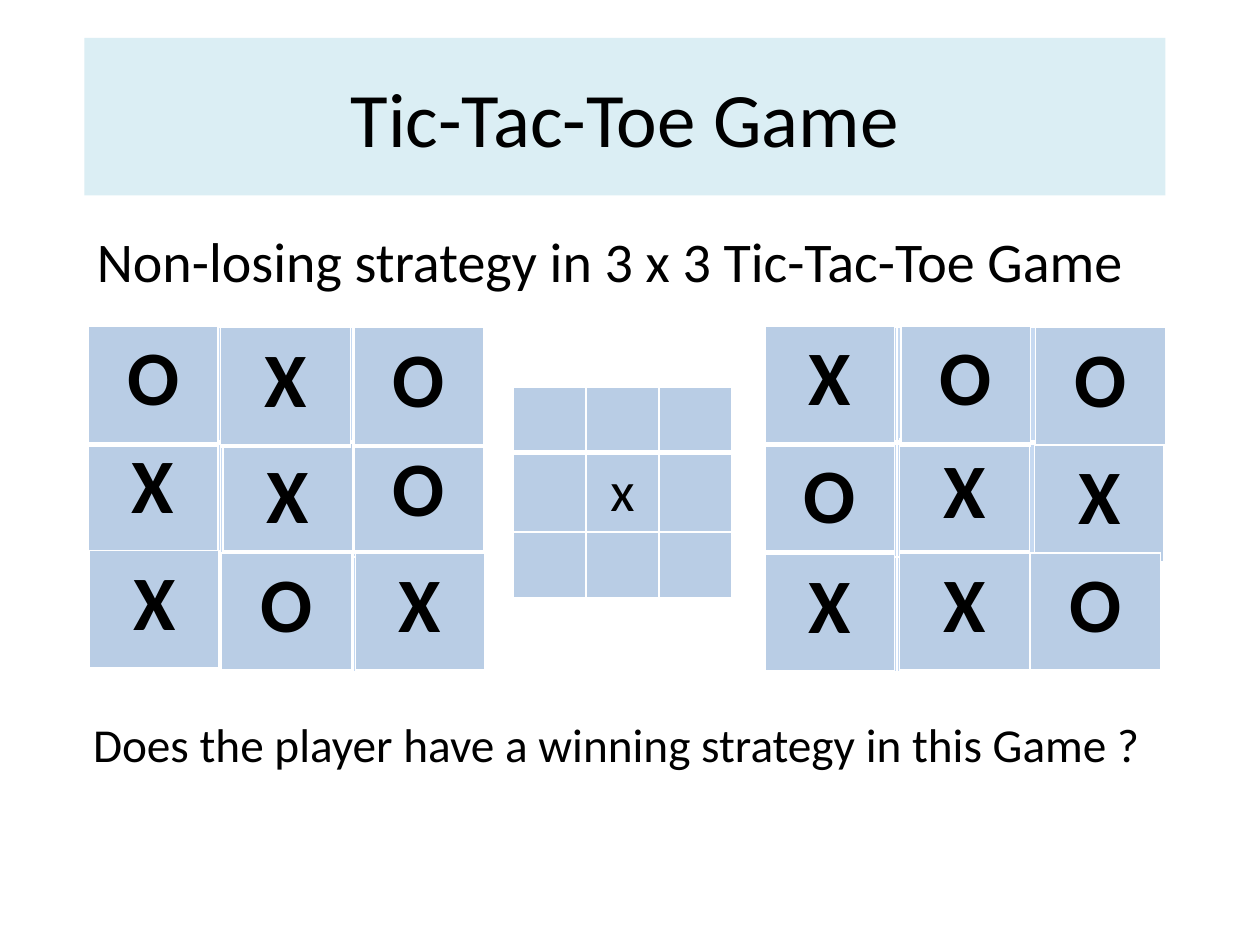
from lxml import etree
from pptx import Presentation
from pptx.dml.color import RGBColor
from pptx.enum.shapes import MSO_SHAPE
from pptx.enum.text import MSO_ANCHOR, PP_ALIGN
from pptx.oxml.ns import qn
from pptx.util import Inches, Pt

RECT = MSO_SHAPE.RECTANGLE
MIDDLE = MSO_ANCHOR.MIDDLE
LEFT, CENTER = PP_ALIGN.LEFT, PP_ALIGN.CENTER

FONT = "Calibri"
COLORS = {"banner": "DBEEF4", "board": "C6D9F1", "tile": "B9CDE5",
          "line": "FFFFFF", "text": "000000"}
TILE_W, TILE_H = 1.03, 0.94

# Tiles from back to front: mark, left and top within the board, height
LEFT_TILES = [
    ("X", 2.12, 1.79, TILE_H), ("X", 1.07, 0.92, 0.86), ("O", 1.06, 1.79, TILE_H),
    ("O", 2.11, 0.87, 0.91), ("X", 1.05, 0, TILE_H), ("X", 0, 0.84, TILE_H),
    ("X", 0.01, 1.77, TILE_H), ("O", 0, -0.01, TILE_H), ("O", 2.11, 0, TILE_H),
]
RIGHT_TILES = [
    ("X", 1.07, 1.79, TILE_H), ("X", 1.07, 0.88, 0.9), ("O", 2.15, 0, TILE_H),
    ("O", 0, 0.92, 0.86), ("X", 0, 1.8, TILE_H), ("X", 2.14, 0.93, TILE_H),
    ("X", 0, -0.01, TILE_H), ("O", 1.08, -0.01, TILE_H), ("O", 2.11, 1.79, TILE_H),
]


def rgb(name):
    return RGBColor.from_string(COLORS[name])


def write(tf, text, size, align=LEFT, bold=False):
    p = tf.paragraphs[0]
    p.text = text
    p.alignment = align
    p.font.name = FONT
    p.font.size = Pt(size)
    p.font.bold = bold
    p.font.color.rgb = rgb("text")


def set_borders(cell, top, bottom):
    """Line the cell in white; top and bottom are widths in points."""
    tcPr = cell._tc.get_or_add_tcPr()
    widths = {"a:lnL": 1, "a:lnR": 1, "a:lnT": top, "a:lnB": bottom}
    for i, (tag, width) in enumerate(widths.items()):
        ln = etree.Element(qn(tag), w=str(Pt(width)))
        fill = etree.SubElement(ln, qn("a:solidFill"))
        etree.SubElement(fill, qn("a:srgbClr"), val=COLORS["line"])
        tcPr.insert(i, ln)


def add_grid(s, x, y, col_w, row_heights, columns, fill):
    """Add a filled table with a heavy line under its first row."""
    table = s.shapes.add_table(
        len(row_heights), columns, Inches(x), Inches(y),
        Inches(col_w * columns), Inches(sum(row_heights))).table
    table.first_row = table.horz_banding = False
    for column in table.columns:
        column.width = Inches(col_w)
    for i, (row, height) in enumerate(zip(table.rows, row_heights)):
        row.height = Inches(height)
        for cell in row.cells:
            cell.fill.solid()
            cell.fill.fore_color.rgb = rgb(fill)
            set_borders(cell, 3 if i == 1 else 1, 3 if i == 0 else 1)
    return table


def add_played_board(s, x, y, tiles):
    add_grid(s, x, y, 1.05, [0.91] * 3, 3, "board")
    for mark, dx, dy, height in tiles:
        tile = add_grid(s, x + dx, y + dy, TILE_W, [height], 1, "tile")
        write(tile.cell(0, 0).text_frame, mark, 44, CENTER, bold=True)


def add_opening_board(s, x, y):
    table = add_grid(s, x, y, 0.58, [0.52, 0.63, 0.52], 3, "tile")
    write(table.cell(1, 1).text_frame, "x", 32, CENTER)


def add_title(s, x, y, w, h):
    sp = s.shapes.add_shape(RECT, Inches(x), Inches(y), Inches(w), Inches(h))
    sp.shadow.inherit = False
    sp.fill.solid()
    sp.fill.fore_color.rgb = rgb("banner")
    sp.line.fill.background()
    sp.text_frame.vertical_anchor = MIDDLE
    write(sp.text_frame, "Tic-Tac-Toe Game", 44, CENTER)


def add_line_of_text(s, x, y, w, h, text, size):
    tf = s.shapes.add_textbox(Inches(x), Inches(y), Inches(w), Inches(h)).text_frame
    tf.word_wrap = True
    write(tf, text, size)


def main():
    prs = Presentation()
    prs.slide_width, prs.slide_height = Inches(10), Inches(7.5)
    s = prs.slides.add_slide(prs.slide_layouts[6])
    add_title(s, 0.67, 0.3, 8.58, 1.25)
    add_line_of_text(s, 0.67, 1.75, 8.58, 4.95,
                     "Non-losing strategy in 3 x 3 Tic-Tac-Toe Game", 32)
    add_played_board(s, 0.7, 2.6, LEFT_TILES)
    add_played_board(s, 6.07, 2.6, RIGHT_TILES)
    add_opening_board(s, 4.07, 3.07)
    add_line_of_text(s, 0.64, 5.63, 8.6, 0.56,
                     "Does the player have a winning strategy in this Game ?", 27)
    prs.save("out.pptx")


if __name__ == "__main__":
    main()
